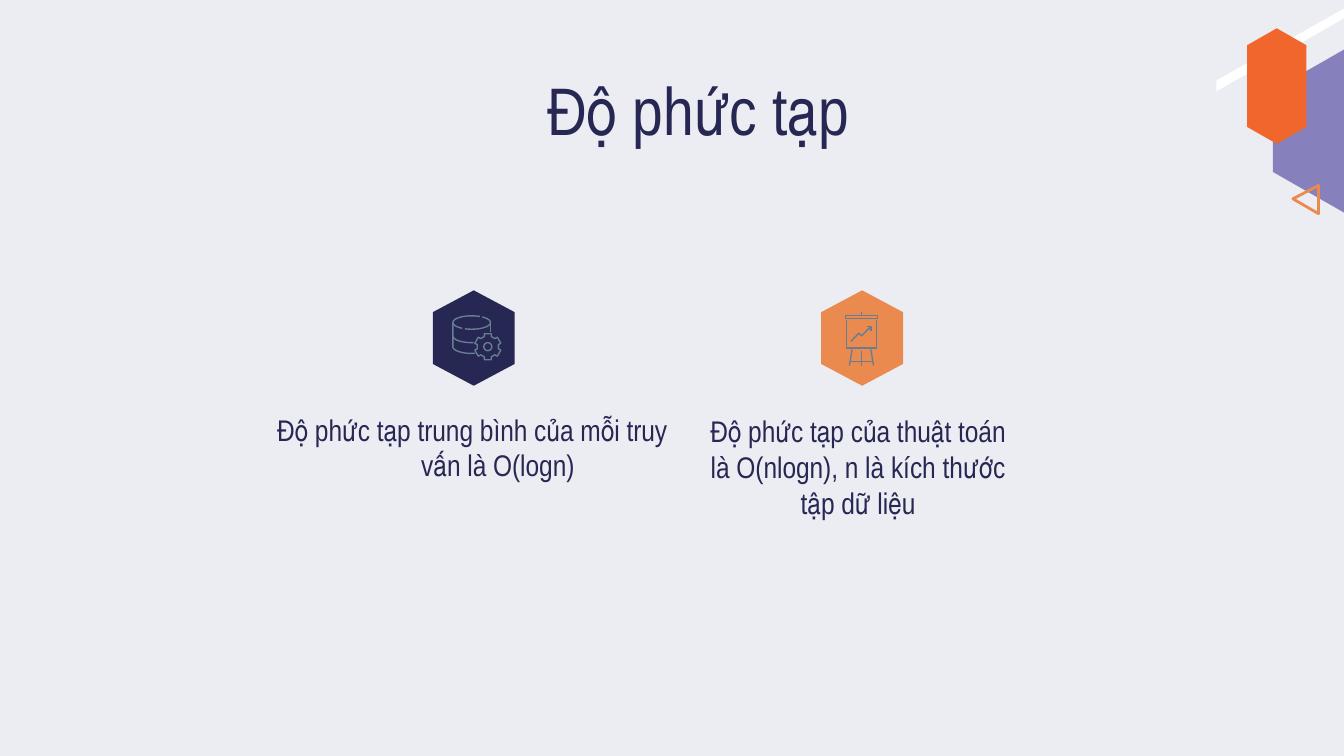
from math import cos, radians, sin

from lxml import etree
from pptx import Presentation
from pptx.dml.color import RGBColor
from pptx.enum.shapes import MSO_SHAPE
from pptx.enum.text import MSO_ANCHOR, PP_ALIGN
from pptx.util import Inches, Pt

HEXAGON = MSO_SHAPE.HEXAGON
CENTER = PP_ALIGN.CENTER
TOP = MSO_ANCHOR.TOP
FONT = "Arial Narrow"
WIDTH = 10
HEIGHT = WIDTH * 9 / 16
COLORS = {
    "background": "ECEDF3",
    "navy": "272753",
    "orange": "EA8A4F",
    "bright": "F1662D",
    "purple": "8680BC",
    "white": "FFFFFF",
    "icon": "657E93",
}

TITLE = "Độ phức tạp"
CARDS = [
    {
        "text": "Độ phức tạp trung bình của mỗi truy vấn là O(logn)",
        "box": (1.71, 3.06, 3.49, 0.58),
        "side": 0.1,
        "indent": (0.5, -0.38),
        "hexagon": (3.17, 2.21, 0.71, 0.61),
        "color": "navy",
    },
    {
        "text": "Độ phức tạp của thuật toán là O(nlogn), n là kích thước tập dữ liệu",
        "box": (5.06, 3.07, 2.65, 0.58),
        "side": 0.14,
        "indent": (0, 0),
        "hexagon": (6.06, 2.21, 0.71, 0.61),
        "color": "orange",
    },
]
STRIPE = [(9.05, 0.6), (10.38, -0.15), (10.38, -0.08), (9.05, 0.68), (9.05, 0.6)]
TRIANGLE = [(9.81, 1.38), (9.62, 1.48), (9.81, 1.59), (9.81, 1.38)]


def arc(center, radii, start, end, steps=16):
    angles = [radians(start + (end - start) * i / steps) for i in range(steps + 1)]
    return [(center[0] + radii[0] * cos(a), center[1] + radii[1] * sin(a)) for a in angles]


def gear(center, teeth=6):
    corners = [(0.08, -19), (0.1, -15), (0.1, 15), (0.08, 19)]
    points = []
    for tooth in range(teeth):
        for radius, offset in corners:
            angle = radians(360 / teeth * tooth - 90 + offset)
            points.append((center[0] + radius * cos(angle), center[1] + radius * sin(angle)))
    return points + points[:1]


DISK, DISK_RADII = (3.51, 2.4), (0.14, 0.05)
GEAR = (3.63, 2.58)
DATABASE = [
    arc(DISK, DISK_RADII, -56, 111),
    arc(DISK, DISK_RADII, 120, 296),
    [(3.37, 2.4)] + arc((3.51, 2.58), DISK_RADII, 180, 80),
    arc((3.51, 2.5), DISK_RADII, 180, 85),
    [(3.65, 2.4), (3.65, 2.47)],
    gear(GEAR),
]
HUB = [arc(GEAR, (0.03, 0.03), 0, 360)]
EASEL = [
    [(6.41, 2.32), (6.41, 2.35)],
    [(6.29, 2.35), (6.53, 2.35), (6.53, 2.37), (6.29, 2.37), (6.29, 2.35)],
    [(6.3, 2.38), (6.3, 2.59), (6.52, 2.59), (6.52, 2.38)],
    [(6.34, 2.6), (6.32, 2.72)],
    [(6.48, 2.6), (6.5, 2.72)],
    [(6.41, 2.61), (6.41, 2.72)],
    [(6.33, 2.69), (6.49, 2.69)],
]
TREND = [
    [(6.33, 2.54), (6.39, 2.48), (6.41, 2.5), (6.48, 2.43)],
    [(6.45, 2.43), (6.48, 2.43), (6.48, 2.46)],
]
ICONS = [(DATABASE, HUB), (EASEL, TREND)]


def color(name):
    return RGBColor.from_string(COLORS[name])


def paint(shape, fill=None, line=None, width=0.75):
    shape.shadow.inherit = False
    if fill:
        shape.fill.solid()
        shape.fill.fore_color.rgb = color(fill)
    else:
        shape.fill.background()
    if line:
        shape.line.color.rgb = color(line)
        shape.line.width = Pt(width)
    else:
        shape.line.fill.background()


def add_hexagon(slide, box, adjustment, fill):
    shape = slide.shapes.add_shape(HEXAGON, *map(Inches, box))
    shape.adjustments[0] = adjustment
    shape.rotation = 270
    paint(shape, fill)


def add_outline(shapes, contours, **style):
    scaled = [[(Inches(x), Inches(y)) for x, y in contour] for contour in contours]
    builder = shapes.build_freeform(*scaled[0][0])
    for index, contour in enumerate(scaled):
        if index:
            builder.move_to(*contour[0])
        builder.add_line_segments(contour[1:], close=contour[0] == contour[-1])
    paint(builder.convert_to_shape(), **style)


def write(shape, text, size, top_inset, side):
    frame = shape.text_frame
    frame.text = text
    frame.word_wrap = True
    frame.vertical_anchor = TOP
    frame.margin_left = frame.margin_right = Inches(side)
    frame.margin_top, frame.margin_bottom = Inches(top_inset), Inches(0.1)
    paragraph = frame.paragraphs[0]
    paragraph.alignment = CENTER
    font = paragraph.runs[0].font
    font.name, font.size = FONT, Pt(size)
    font.color.rgb = color("navy")
    return paragraph


def build():
    presentation = Presentation()
    presentation.slide_width, presentation.slide_height = Inches(WIDTH), Inches(HEIGHT)
    slide = presentation.slides.add_slide(presentation.slide_layouts[5])
    slide.background.fill.solid()
    slide.background.fill.fore_color.rgb = color("background")

    add_hexagon(slide, (9.4, 0.43, 1.23, 1.09), 0.286, "purple")
    add_outline(slide.shapes, [STRIPE], fill="white")
    add_outline(slide.shapes, [TRIANGLE], line="orange", width=1.5)
    add_hexagon(slide, (9.07, 0.42, 0.86, 0.44), 0.286, "bright")

    title = slide.shapes.title
    title.left, title.top, title.width, title.height = map(Inches, (1.47, 0.41, 7.45, 0.63))
    write(title, TITLE, 36, 0.1, 0.1)
    body = title.text_frame._txBody.bodyPr
    for child in list(body):
        body.remove(child)
    etree.SubElement(body, "{http://schemas.openxmlformats.org/drawingml/2006/main}noAutofit")

    for card in CARDS:
        add_hexagon(slide, card["hexagon"], 0.266, card["color"])
        box = slide.shapes.add_textbox(*map(Inches, card["box"]))
        paragraph = write(box, card["text"], 16, 0, card["side"])
        paragraph.space_after = Pt(16)
        margin, indent = card["indent"]
        properties = paragraph._p.get_or_add_pPr()
        properties.set("marL", str(Inches(margin)))
        properties.set("indent", str(Inches(indent)))

    for icon in ICONS:
        group = slide.shapes.add_group_shape()
        for contours in icon:
            add_outline(group.shapes, contours, line="icon")

    presentation.save("out.pptx")


if __name__ == "__main__":
    build()
